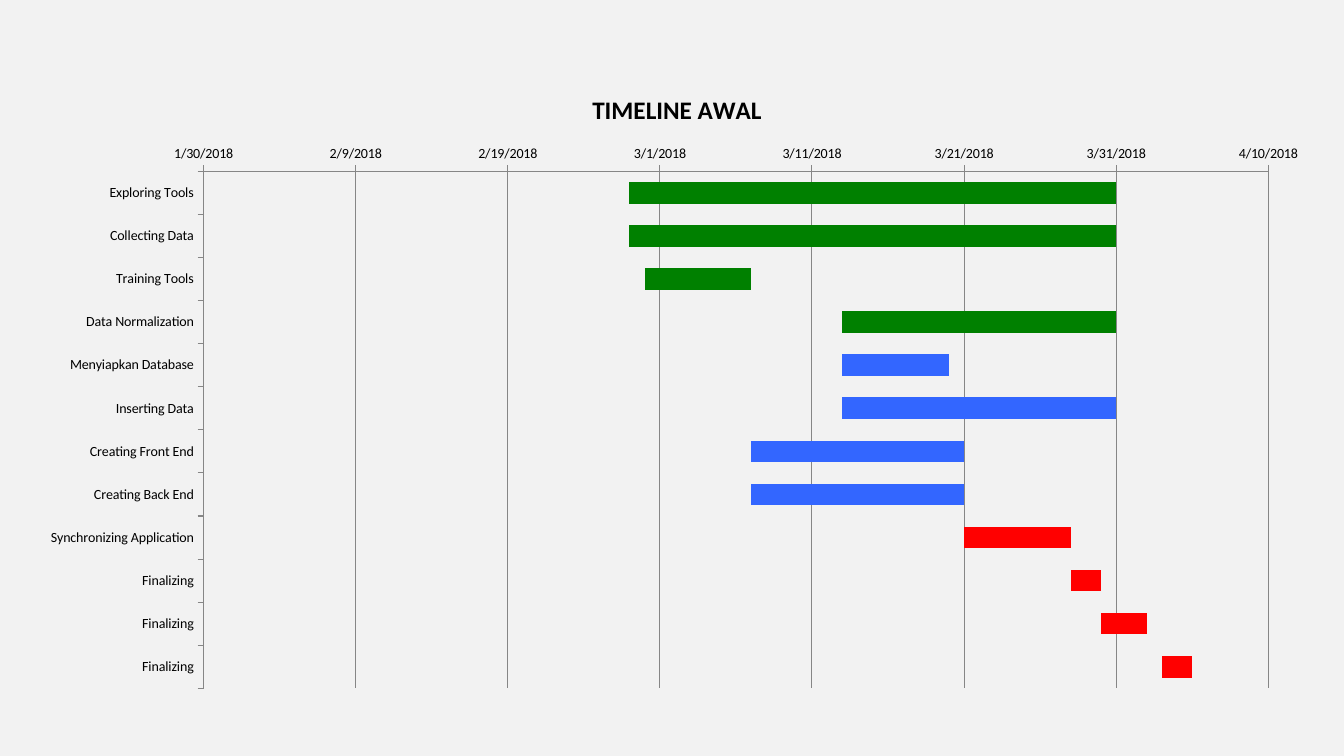
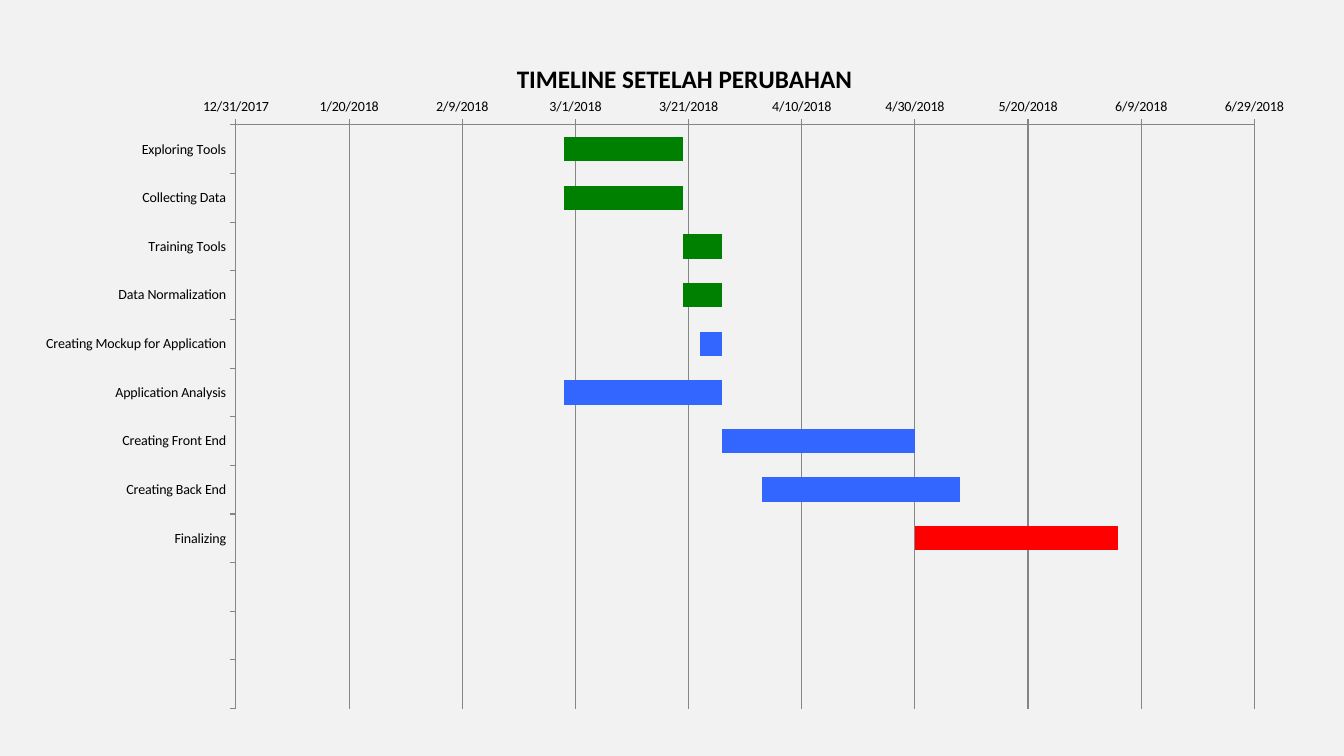
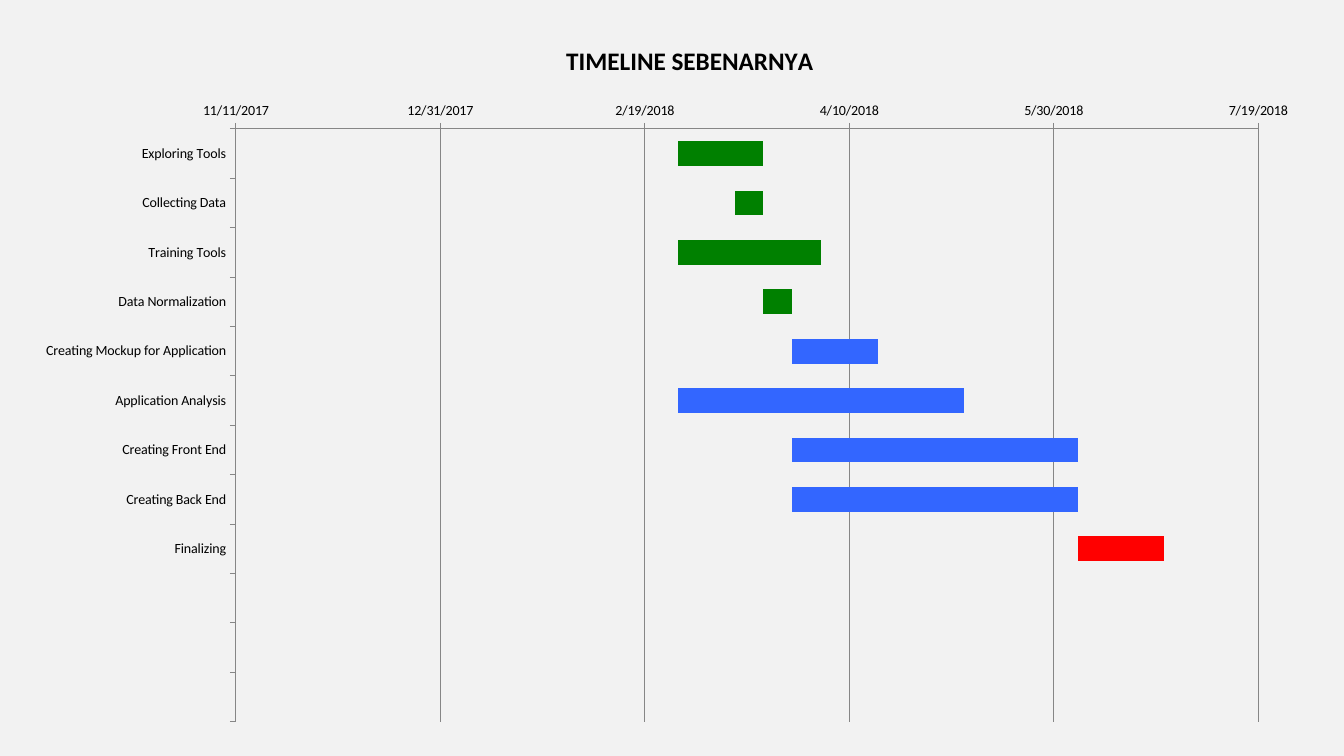
from pptx import Presentation
from pptx.chart.data import CategoryChartData
from pptx.dml.color import RGBColor
from pptx.enum.chart import XL_CHART_TYPE as ChartType, XL_TICK_MARK as TickMark
from pptx.oxml import parse_xml
from pptx.oxml.ns import nsdecls, qn
from pptx.util import Inches, Pt

# Shared style
PAGE_FILL = RGBColor(0xF2, 0xF2, 0xF2)
INK = RGBColor(0x00, 0x00, 0x00)
GRID = RGBColor(0x86, 0x86, 0x86)
GREEN = RGBColor(0x00, 0x80, 0x00)
BLUE = RGBColor(0x33, 0x66, 0xFF)
RED = RGBColor(0xFF, 0x00, 0x00)
ORANGE = RGBColor(0xED, 0x7D, 0x31)
FONT = "Calibri"
ROW_COUNT = 12

# Each timeline: boxes are left, top, width, height in inches;
# tasks are name, start (date serial), days, colour; axis is min, max, step.
TIMELINES = [
    {
        "title": "TIMELINE AWAL",
        "box": (0.25, 0.69, 12.88, 6.26),
        "plot": (2.02, 1.7, 10.56, 5.13),
        "title_at": (5.83, 0.87),
        "axis": (43130, 43200, 10),
        "tasks": [
            ("Exploring Tools", 43158, 32, GREEN),
            ("Collecting Data", 43158, 32, GREEN),
            ("Training Tools", 43159, 7, GREEN),
            ("Data Normalization", 43172, 18, GREEN),
            ("Menyiapkan Database", 43172, 7, BLUE),
            ("Inserting Data", 43172, 18, BLUE),
            ("Creating Front End", 43166, 14, BLUE),
            ("Creating Back End", 43166, 14, BLUE),
            ("Synchronizing Application", 43180, 7, RED),
            ("Finalizing", 43187, 2, RED),
            ("Finalizing", 43189, 3, RED),
            ("Finalizing", 43193, 2, RED),
        ],
    },
    {
        "title": "TIMELINE SETELAH PERUBAHAN",
        "box": (0.34, 0.46, 12.55, 6.72),
        "plot": (2.34, 1.24, 10.1, 5.79),
        "title_at": (5.08, 0.56),
        "axis": (43100, 43280, 20),
        "tasks": [
            ("Exploring Tools", 43158, 21, GREEN),
            ("Collecting Data", 43158, 21, GREEN),
            ("Training Tools", 43179, 7, GREEN),
            ("Data Normalization", 43179, 7, GREEN),
            ("Creating Mockup for Application", 43182, 4, BLUE),
            ("Application Analysis", 43158, 28, BLUE),
            ("Creating Front End", 43186, 34, BLUE),
            ("Creating Back End", 43193, 35, BLUE),
            ("Finalizing", 43220, 36, RED),
        ],
    },
    {
        "title": "TIMELINE SEBENARNYA",
        "box": (0.2, 0.29, 12.83, 7.02),
        "plot": (2.34, 1.28, 10.14, 5.88),
        "title_at": (5.57, 0.38),
        "axis": (43050, 43300, 50),
        "tasks": [
            ("Exploring Tools", 43158, 21, GREEN),
            ("Collecting Data", 43172, 7, GREEN),
            ("Training Tools", 43158, 35, GREEN),
            ("Data Normalization", 43179, 7, GREEN),
            ("Creating Mockup for Application", 43186, 21, BLUE),
            ("Application Analysis", 43158, 70, BLUE),
            ("Creating Front End", 43186, 70, BLUE),
            ("Creating Back End", 43186, 70, BLUE),
            ("Finalizing", 43256, 21, RED),
        ],
    },
]


def set_layout(element, index, box, place, inner=False):
    """Fix a chart part at a place on the page, as shares of the chart box."""
    left, top, width, height = box
    shares = {"x": (place[0] - left) / width, "y": (place[1] - top) / height}
    if inner:
        shares.update(w=place[2] / width, h=place[3] / height)
    target = '<c:layoutTarget val="inner"/>' if inner else ""
    modes = '<c:xMode val="edge"/><c:yMode val="edge"/>'
    values = "".join(f'<c:{key} val="{share:.4f}"/>' for key, share in shares.items())
    for old in element.findall(qn("c:layout")):
        element.remove(old)
    element.insert(index, parse_xml(
        f'<c:layout {nsdecls("c")}><c:manualLayout>{target}{modes}{values}'
        "</c:manualLayout></c:layout>"))


def style_line(line):
    line.color.rgb = GRID
    line.width = Pt(0.75)


def style_axes(chart, limits):
    tasks_axis, dates_axis = chart.category_axis, chart.value_axis
    for axis in (tasks_axis, dates_axis):
        axis.major_tick_mark = TickMark.OUTSIDE
        axis.minor_tick_mark = TickMark.NONE
        style_line(axis.format.line)
    tasks_axis.reverse_order = True
    tasks_axis.has_major_gridlines = False
    dates_axis.minimum_scale, dates_axis.maximum_scale, dates_axis.major_unit = limits
    dates_axis.has_major_gridlines = True
    style_line(dates_axis.major_gridlines.format.line)
    dates_axis.tick_labels.number_format = "m/d/yyyy"
    dates_axis.tick_labels.number_format_is_linked = False


def add_title(chart, timeline):
    chart.has_title = True
    title = chart.chart_title
    title.text_frame.text = timeline["title"]
    font = title.text_frame.paragraphs[0].runs[0].font
    font.name, font.size, font.bold = FONT, Pt(18), True
    font.color.rgb = INK
    set_layout(title._element, 1, timeline["box"], timeline["title_at"])


def add_timeline(page, timeline):
    """A Gantt chart: an unfilled start bar carries each coloured task bar."""
    tasks = timeline["tasks"]
    spare = ROW_COUNT - len(tasks)
    names, starts, days, colours = zip(*tasks)
    data = CategoryChartData()
    data.categories = list(names) + [""] * spare
    data.add_series("Series 1", list(starts) + [None] * spare)
    data.add_series("Series 2", list(days) + [None] * spare)

    box = timeline["box"]
    chart = page.shapes.add_chart(
        ChartType.BAR_STACKED, *(Inches(length) for length in box), data).chart
    chart.has_legend = False
    chart.font.name, chart.font.size = FONT, Pt(10)
    chart.font.color.rgb = INK
    add_title(chart, timeline)
    style_axes(chart, timeline["axis"])

    # Bars
    plot = chart.plots[0]
    plot.gap_width, plot.overlap = 100, 100
    plot.vary_by_categories = False
    start_bars, task_bars = plot.series
    start_bars.format.fill.background()
    start_bars.format.line.fill.background()
    task_bars.format.fill.solid()
    task_bars.format.fill.fore_color.rgb = ORANGE
    for index, colour in enumerate(colours):
        fill = task_bars.points[index].format.fill
        fill.solid()
        fill.fore_color.rgb = colour

    plot_area = chart._chartSpace.find(f'{qn("c:chart")}/{qn("c:plotArea")}')
    set_layout(plot_area, 0, box, timeline["plot"], inner=True)


def main():
    deck = Presentation()
    deck.slide_width, deck.slide_height = Inches(13.33), Inches(7.5)
    backdrop = deck.slide_master.background.fill
    backdrop.solid()
    backdrop.fore_color.rgb = PAGE_FILL
    for timeline in TIMELINES:
        add_timeline(deck.slides.add_slide(deck.slide_layouts[6]), timeline)
    deck.save("out.pptx")


if __name__ == "__main__":
    main()
